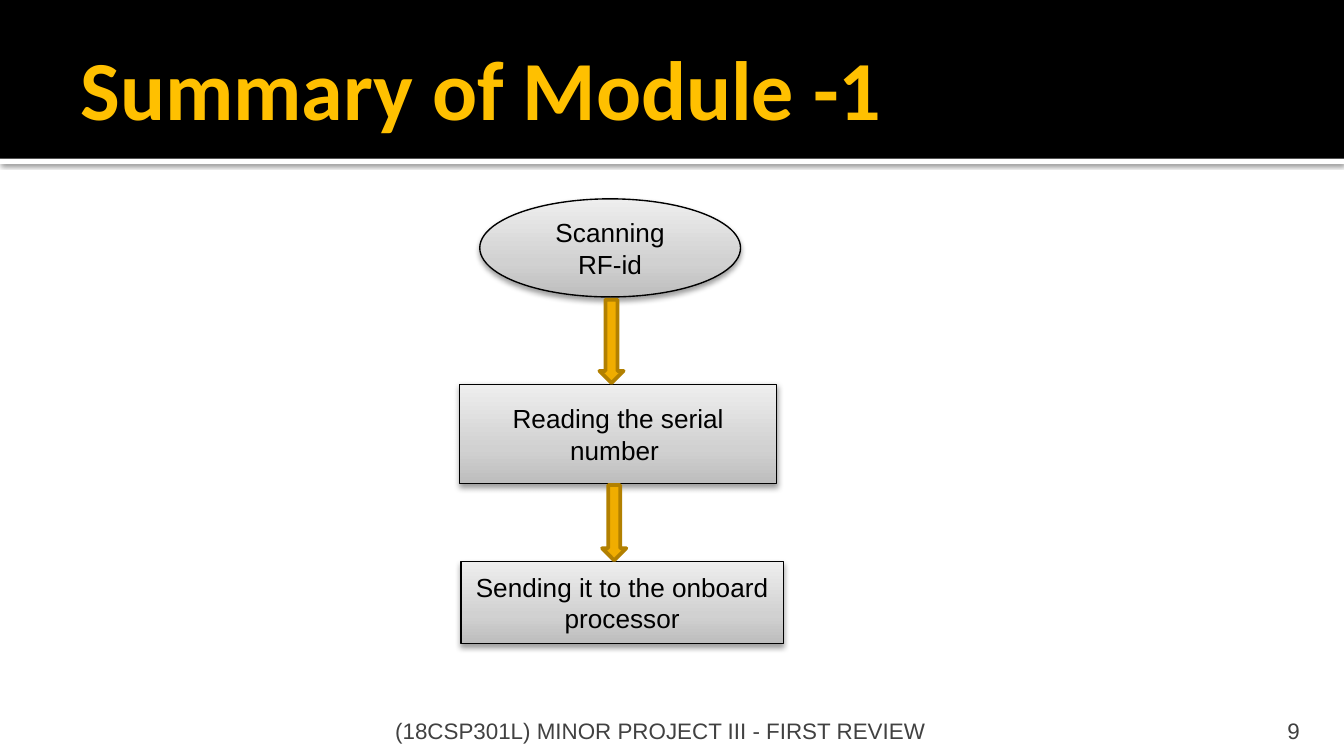
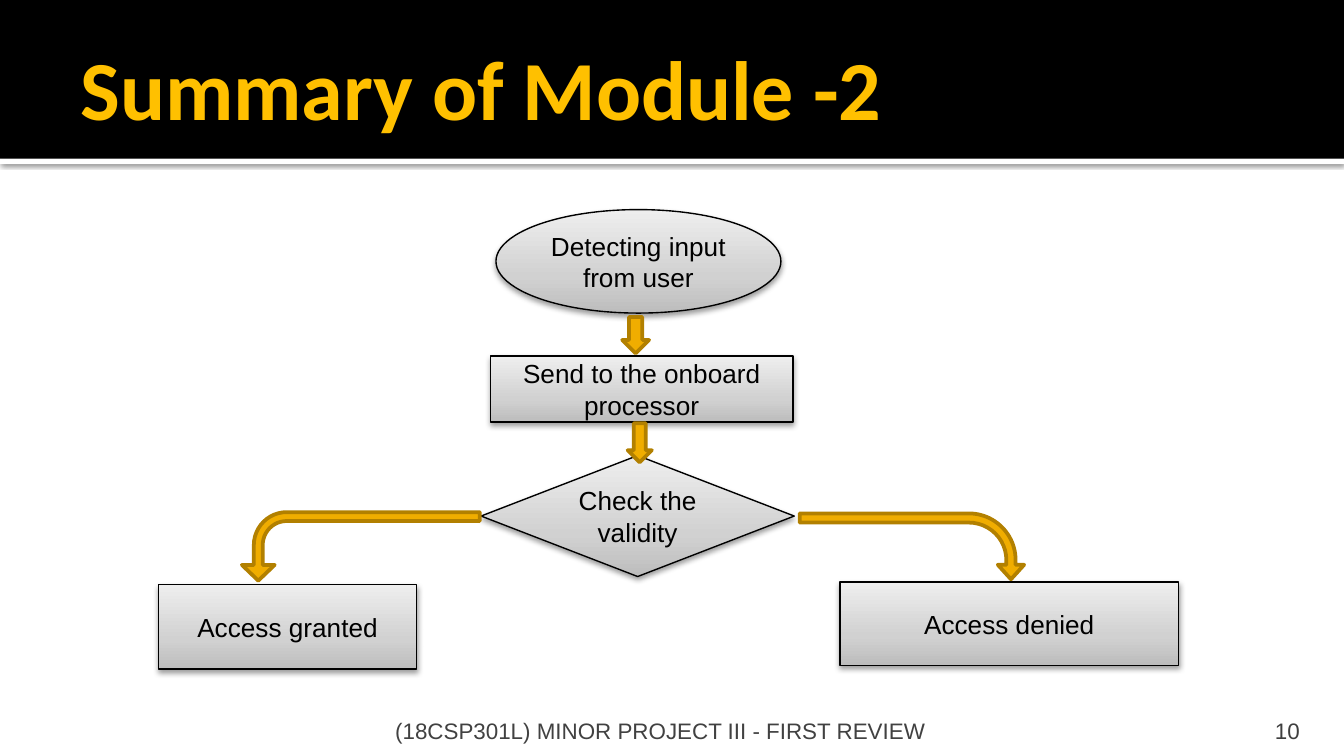
from lxml import etree
from pptx import Presentation
from pptx.dml.color import RGBColor
from pptx.enum.shapes import MSO_SHAPE as Shape
from pptx.enum.text import MSO_ANCHOR as Anchor, PP_ALIGN as Align
from pptx.oxml import parse_xml
from pptx.oxml.ns import nsdecls, qn
from pptx.util import Inches, Pt

BLACK, WHITE, TITLE_GOLD = "000000", "FFFFFF", "FFC000"
ARROW_FILL, ARROW_LINE = "F0AD00", "B28000"
FOOTER_GREY, NUMBER_GREY = "414141", "3F3F3F"
NODE_STOPS = [(0, "BDBDBD"), (35, "D1D1D1"), (100, "EEEEEE")]
FOOTER = "(18CSP301L) MINOR PROJECT III - FIRST REVIEW"

# Each slide: title, number, nodes (kind, box, text),
# arrows (kind, box, rotation, vertical flip, adjustments)
SLIDES = [
    ("Summary of Module -1", 9,
     [(Shape.OVAL, (3.57, 1.48, 1.94, 0.73), "Scanning\nRF-id"),
      (Shape.RECTANGLE, (3.42, 2.86, 2.36, 0.74), "Reading the serial number "),
      (Shape.RECTANGLE, (3.43, 4.18, 2.4, 0.61), "Sending it to the onboard processor")],
     [(Shape.DOWN_ARROW, (4.46, 2.23, 0.18, 0.62), 0, False, []),
      (Shape.DOWN_ARROW, (4.48, 3.61, 0.18, 0.56), 0, False, [])]),
    ("Summary of Module -2", 10,
     [(Shape.OVAL, (3.69, 1.56, 2.12, 0.77), "Detecting input from user"),
      (Shape.RECTANGLE, (1.18, 4.35, 1.92, 0.63), "Access granted"),
      (Shape.RECTANGLE, (6.25, 4.33, 2.52, 0.62), "Access denied"),
      (Shape.DIAMOND, (3.58, 3.39, 2.33, 0.9), "Check the validity"),
      (Shape.RECTANGLE, (3.65, 2.65, 2.25, 0.49), "Send to the onboard processor")],
     [(Shape.DOWN_ARROW, (4.63, 2.36, 0.2, 0.27), 0, False, []),
      (Shape.DOWN_ARROW, (4.67, 3.15, 0.18, 0.29), 0, False, []),
      (Shape.BENT_ARROW, (6.54, 3.23, 0.49, 1.67), 90, False, [0.14, 0.2, 0.22, 0.71]),
      (Shape.BENT_ARROW, (2.43, 3.18, 0.51, 1.77), 90, True, [0.13, 0.24, 0.23, 0.48])]),
]


def color(hex_string):
    return RGBColor.from_string(hex_string)


def add_block(slide, kind, box, fill=None, line=None, line_width=0.75, shadow=None):
    """Add a preset shape; shadow is (opacity %, blur pt, distance pt)."""
    shape = slide.shapes.add_shape(kind, *map(Inches, box))
    shape.shadow.inherit = False
    if fill:
        shape.fill.solid()
        shape.fill.fore_color.rgb = color(fill)
    if line:
        shape.line.color.rgb = color(line)
        shape.line.width = Pt(line_width)
    else:
        shape.line.fill.background()
    if shadow:
        opacity, blur, distance = shadow
        effects = shape._element.spPr.find(qn("a:effectLst"))
        outer = etree.SubElement(effects, qn("a:outerShdw"), blurRad=str(Pt(blur)),
                                 dist=str(Pt(distance)), dir="5400000", rotWithShape="0")
        tint = etree.SubElement(outer, qn("a:srgbClr"), val=BLACK)
        etree.SubElement(tint, qn("a:alpha"), val=str(opacity * 1000))
    return shape


# Widescreen, 16:9
presentation = Presentation()
presentation.slide_width = Inches(10)
presentation.slide_height = Inches(10) * 9 // 16

for title, number, nodes, arrows in SLIDES:
    slide = presentation.slides.add_slide(presentation.slide_layouts[6])

    # Title band with a white strip below it
    add_block(slide, Shape.RECTANGLE, (0, 1.18, 10, 0.04), WHITE, shadow=(60, 2.5, 0.8))
    add_block(slide, Shape.RECTANGLE, (0, 0, 10, 1.18), BLACK)

    # Title, slide number and footer
    for text, box, insets, anchor, align, font_name, size, text_color in [
        (title, (0.5, 0.13, 9, 1.03), (0.1, 0.05, 0.05, 0.05), Anchor.MIDDLE,
         Align.LEFT, "Calibri", 45, TITLE_GOLD),
        (str(number), (8.97, 5.31, 0.8, 0.23), (0.1, 0.05, 0.1, 0), Anchor.BOTTOM,
         Align.RIGHT, "Arial", 12, NUMBER_GREY),
        (FOOTER, (2.89, 5.31, 6.02, 0.23), (0.05, 0.05, 0.05, 0), Anchor.BOTTOM,
         Align.LEFT, "Arial", 12, FOOTER_GREY),
    ]:
        frame = slide.shapes.add_textbox(*map(Inches, box)).text_frame
        frame.word_wrap = True
        frame.vertical_anchor = anchor
        (frame.margin_left, frame.margin_top,
         frame.margin_right, frame.margin_bottom) = map(Inches, insets)
        paragraph = frame.paragraphs[0]
        paragraph.text = text
        paragraph.alignment = align
        paragraph.font.name = font_name
        paragraph.font.size = Pt(size)
        paragraph.font.bold = text == title
        paragraph.font.color.rgb = color(text_color)

    # Flowchart nodes, shaded from dark at the bottom to light at the top
    for kind, box, text in nodes:
        node = add_block(slide, kind, box, line=BLACK, shadow=(38, 3.1, 1.6))
        stops = "".join(f'<a:gs pos="{position * 1000}"><a:srgbClr val="{shade}"/></a:gs>'
                        for position, shade in NODE_STOPS)
        gradient = parse_xml(f'<a:gradFill {nsdecls("a")} rotWithShape="1"><a:gsLst>{stops}'
                             '</a:gsLst><a:lin ang="16200000" scaled="0"/></a:gradFill>')
        node._element.spPr.find(qn("a:ln")).addprevious(gradient)
        frame = node.text_frame
        frame.word_wrap = True
        frame.vertical_anchor = Anchor.MIDDLE
        frame.text = text
        for paragraph in frame.paragraphs:
            paragraph.alignment = Align.CENTER
            paragraph.font.name = "Arial"
            paragraph.font.size = Pt(14)
            paragraph.font.color.rgb = color(BLACK)

    # Block arrows between the nodes
    for kind, box, rotation, flipped, adjustments in arrows:
        arrow = add_block(slide, kind, box, ARROW_FILL, ARROW_LINE, 2)
        arrow.rotation = rotation
        if flipped:
            arrow._element.spPr.find(qn("a:xfrm")).set("flipV", "1")
        for index, value in enumerate(adjustments):
            arrow.adjustments[index] = value

presentation.save("out.pptx")
